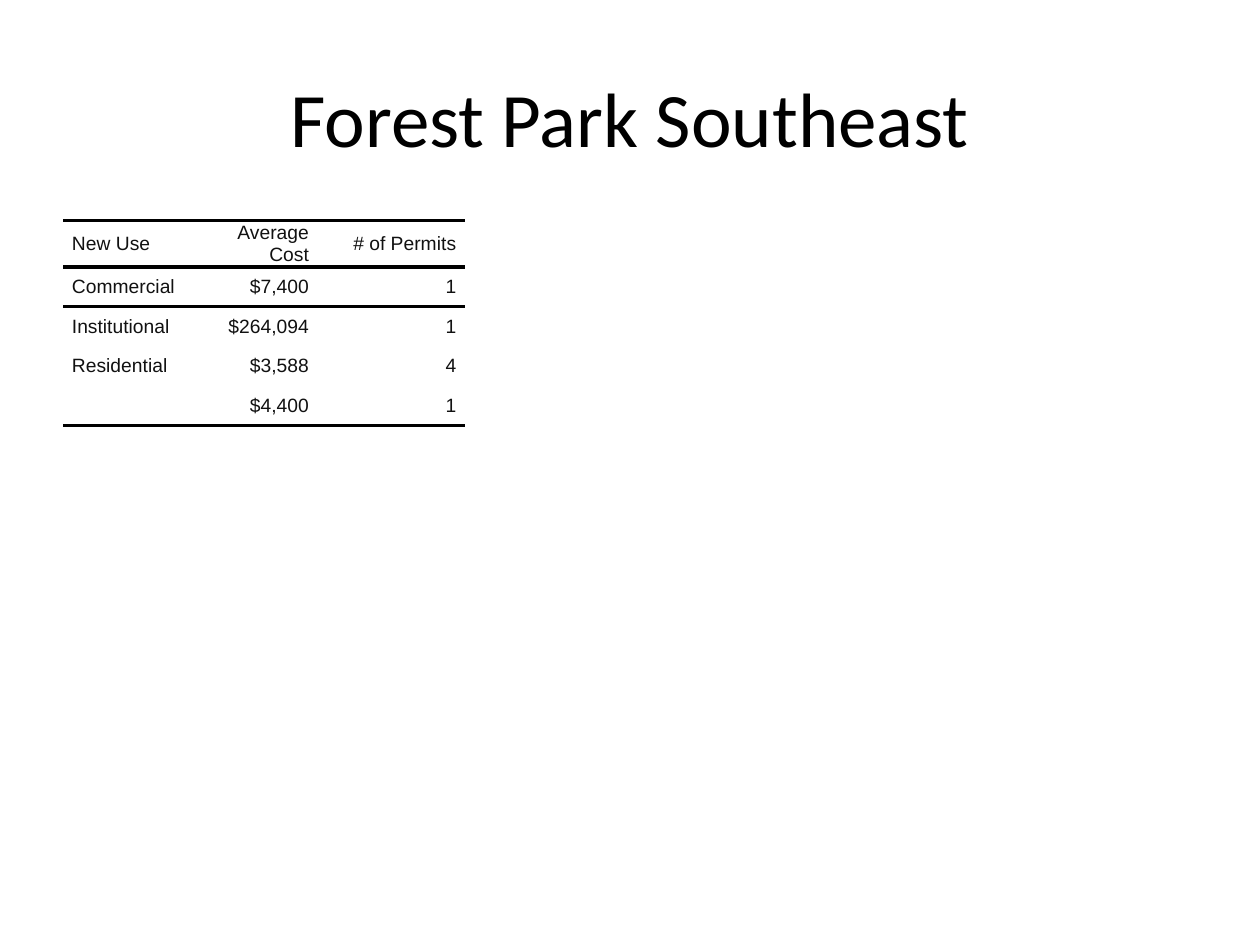
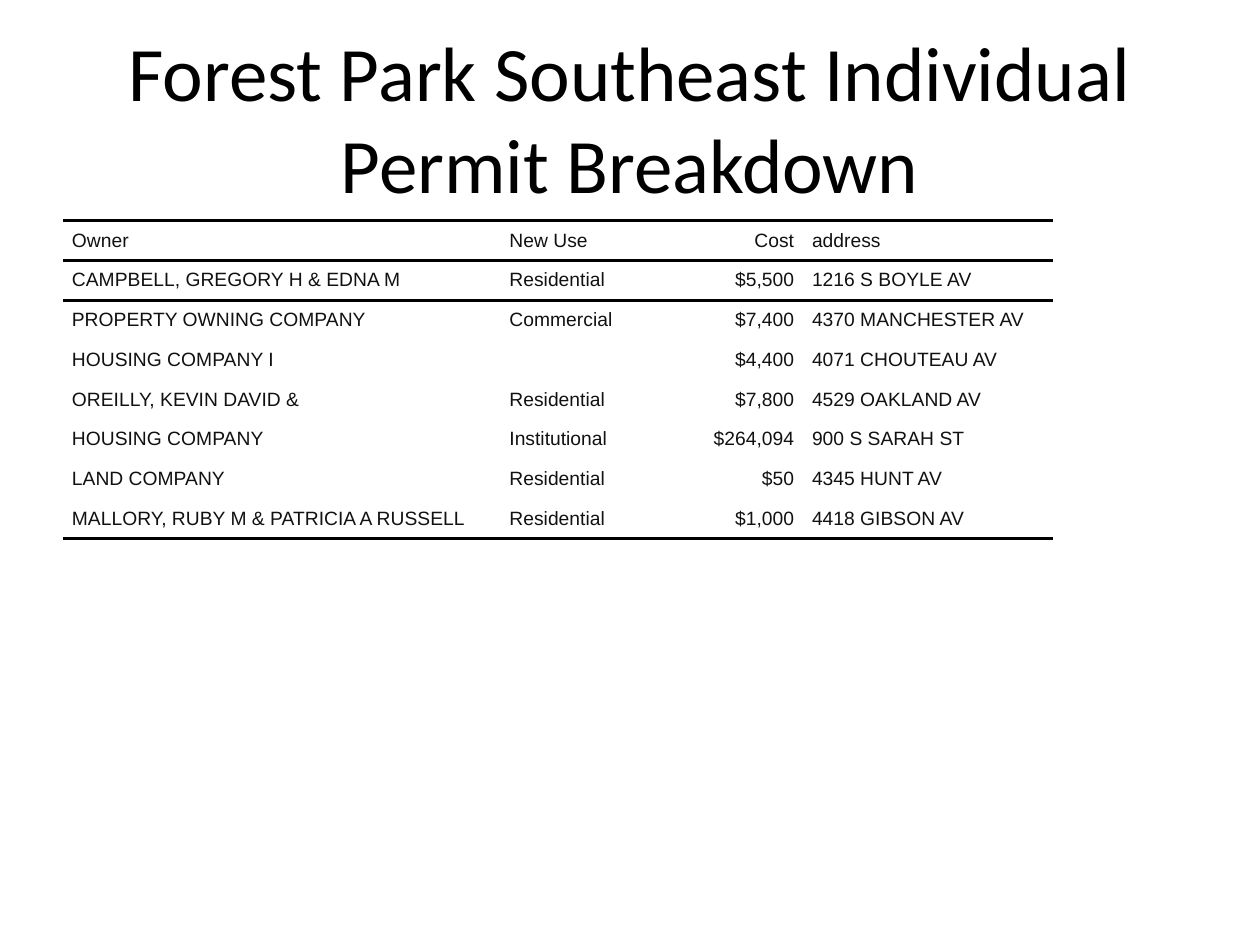
from lxml.etree import SubElement
from pptx import Presentation
from pptx.dml.color import RGBColor
from pptx.enum.text import MSO_ANCHOR, PP_ALIGN
from pptx.oxml.ns import qn
from pptx.util import Cm, Pt

BLACK, INK, WHITE = "000000", "111111", "FFFFFF"
TITLE_FONT, TABLE_FONT = "Calibri", "Arial"
NO_GRID_STYLE = "{2D5ABB26-0587-4C30-8999-92F81FD0307C}"
LEFT, CONTENT_W, TABLE_TOP, ROW_H = 1.27, 22.86, 4.45, 0.8
ALIGN = {"l": PP_ALIGN.LEFT, "r": PP_ALIGN.RIGHT, "c": PP_ALIGN.CENTER}

USE_SUMMARY = [
    ("New Use", "Average Cost", "# of Permits"),
    ("Commercial", "$7,400", "1"),
    ("Institutional", "$264,094", "1"),
    ("Residential", "$3,588", "4"),
    ("", "$4,400", "1"),
]
PERMITS = [
    ("Owner", "New Use", "Cost", "address"),
    ("CAMPBELL, GREGORY H & EDNA M", "Residential", "$5,500", "1216 S BOYLE AV"),
    ("PROPERTY OWNING COMPANY", "Commercial", "$7,400", "4370 MANCHESTER AV"),
    ("HOUSING COMPANY I", "", "$4,400", "4071 CHOUTEAU AV"),
    ("OREILLY, KEVIN DAVID &", "Residential", "$7,800", "4529 OAKLAND AV"),
    ("HOUSING COMPANY", "Institutional", "$264,094", "900 S SARAH ST"),
    ("LAND COMPANY", "Residential", "$50", "4345 HUNT AV"),
    ("MALLORY, RUBY M & PATRICIA A RUSSELL", "Residential", "$1,000", "4418 GIBSON AV"),
]


def rgb(hex_color):
    """Turn a hex string into a colour."""
    return RGBColor.from_string(hex_color)


def style_text(p, align, font, size, color):
    """Align a paragraph and format its runs."""
    p.alignment = ALIGN[align]
    for r in p.runs:
        r.font.name, r.font.size = font, Pt(size)
        r.font.color.rgb = rgb(color)


def add_title(s, text):
    """Add the centred slide title."""
    tf = s.shapes.add_textbox(Cm(LEFT), Cm(0.76), Cm(CONTENT_W), Cm(3.18)).text_frame
    tf.word_wrap = True
    tf.vertical_anchor = MSO_ANCHOR.MIDDLE
    tf.text = text
    style_text(tf.paragraphs[0], "c", TITLE_FONT, 44, BLACK)


def add_rule(cell, side):
    """Draw a black rule on the top (T) or bottom (B) of a cell."""
    ln = SubElement(cell._tc.get_or_add_tcPr(), qn(f"a:ln{side}"), w=str(Pt(2)))
    SubElement(SubElement(ln, qn("a:solidFill")), qn("a:srgbClr"), val=BLACK)


def fill_cell(cell, text, align):
    """Write one table cell."""
    cell.margin_left = cell.margin_right = Cm(0.18)
    cell.margin_top = cell.margin_bottom = 0
    cell.vertical_anchor = MSO_ANCHOR.MIDDLE
    cell.fill.solid()
    cell.fill.fore_color.rgb = rgb(WHITE)
    cell.text = text
    style_text(cell.text_frame.paragraphs[0], align, TABLE_FONT, 11, INK)


def add_ruled_table(s, rows, widths, aligns):
    """Add a table with rules around its header and under its last row."""
    table = s.shapes.add_table(len(rows), len(widths), Cm(LEFT), Cm(TABLE_TOP),
                               Cm(sum(widths)), Cm(ROW_H * len(rows))).table
    table.first_row = table.horz_banding = False
    table._tbl.tblPr.find(qn("a:tableStyleId")).text = NO_GRID_STYLE
    for column, width in zip(table.columns, widths):
        column.width = Cm(width)
    for i, values in enumerate(rows):
        table.rows[i].height = Cm(ROW_H)
        for j, (text, align) in enumerate(zip(values, aligns)):
            cell = table.cell(i, j)
            if i <= 1:
                add_rule(cell, "T")
            if i in (0, len(rows) - 1):
                add_rule(cell, "B")
            fill_cell(cell, text, align)


def add_table_slide(prs, title, rows, widths, aligns):
    """Add a slide with a title above a ruled table."""
    s = prs.slides.add_slide(prs.slide_layouts[6])
    add_title(s, title)
    add_ruled_table(s, rows, widths, aligns)


def main():
    """Build the permit slides."""
    prs = Presentation()
    prs.slide_width, prs.slide_height = Cm(25.4), Cm(19.05)
    add_table_slide(prs, "Forest Park Southeast", USE_SUMMARY,
                    (2.8, 2.34, 2.97), "lrr")
    add_table_slide(prs, "Forest Park Southeast Individual Permit Breakdown", PERMITS,
                    (8.82, 2.8, 3.3, 5.03), "llrl")
    prs.save("out.pptx")


if __name__ == "__main__":
    main()
